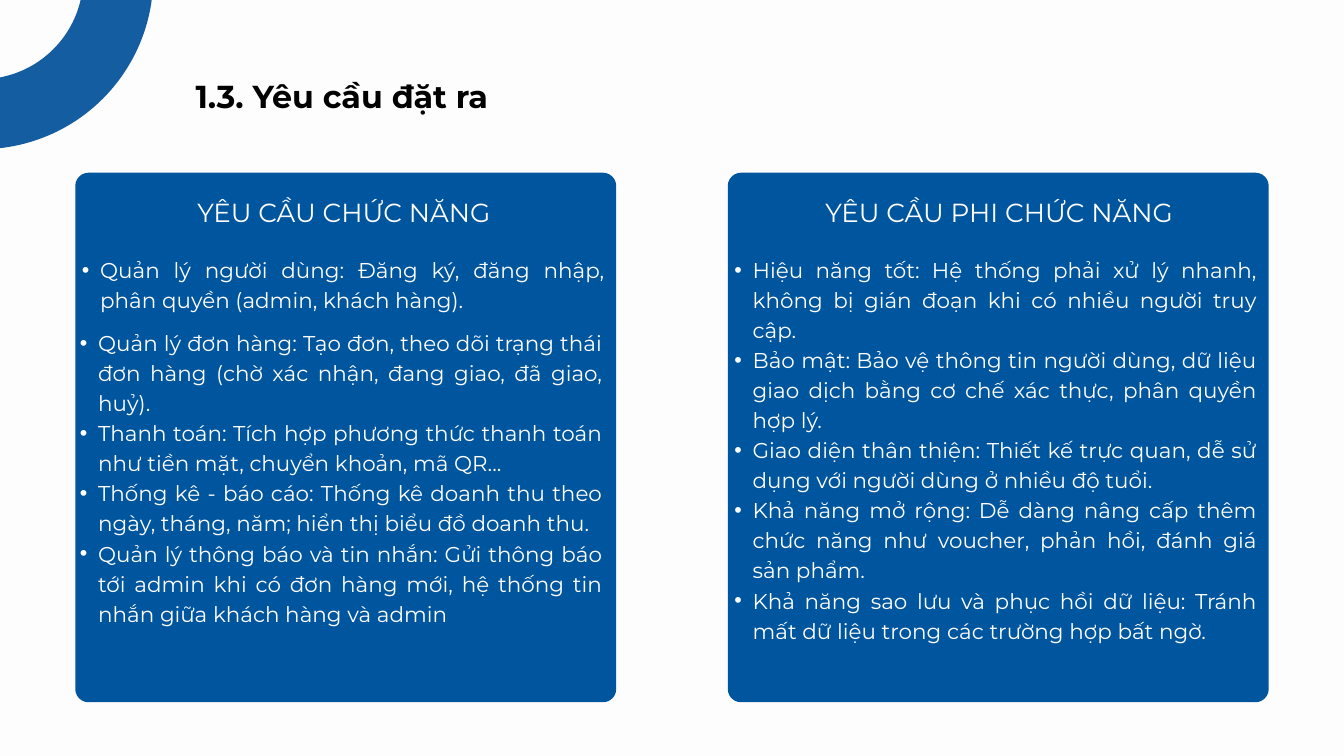
from lxml.etree import SubElement
from pptx import Presentation
from pptx.dml.color import RGBColor
from pptx.enum.shapes import MSO_SHAPE as Shape
from pptx.enum.text import MSO_AUTO_SIZE as AutoSize, PP_ALIGN as Align
from pptx.oxml.ns import qn
from pptx.util import Inches, Pt

FONT = "Montserrat"
BACKGROUND = RGBColor(0xFD, 0xFD, 0xFD)
PANEL_BLUE = RGBColor(0x00, 0x56, 0x9E)
RING_BLUE = RGBColor(0x14, 0x5D, 0xA0)
BLACK = RGBColor(0x00, 0x00, 0x00)
WHITE = RGBColor(0xFF, 0xFF, 0xFF)

PANEL_TOP, PANEL_WIDTH, PANEL_HEIGHT = 2.57, 8.05, 7.88

USER_MANAGEMENT = [
    "Quản lý người dùng: Đăng ký, đăng nhập, phân quyền (admin, khách hàng).",
]
OTHER_FUNCTIONS = [
    "Quản lý đơn hàng: Tạo đơn, theo dõi trạng thái đơn hàng "
    "(chờ xác nhận, đang giao, đã giao, huỷ).",
    "Thanh toán: Tích hợp phương thức thanh toán như tiền mặt, chuyển khoản, mã QR...",
    "Thống kê - báo cáo: Thống kê doanh thu theo ngày, tháng, năm; "
    "hiển thị biểu đồ doanh thu.",
    "Quản lý thông báo và tin nhắn: Gửi thông báo tới admin khi có đơn hàng mới, "
    "hệ thống tin nhắn giữa khách hàng và admin",
]
NON_FUNCTIONAL = [
    "Hiệu năng tốt: Hệ thống phải xử lý nhanh, không bị gián đoạn "
    "khi có nhiều người truy cập.",
    "Bảo mật: Bảo vệ thông tin người dùng, dữ liệu giao dịch bằng cơ chế xác thực, "
    "phân quyền hợp lý.",
    "Giao diện thân thiện: Thiết kế trực quan, dễ sử dụng với người dùng ở nhiều độ tuổi.",
    "Khả năng mở rộng: Dễ dàng nâng cấp thêm chức năng như voucher, phản hồi, "
    "đánh giá sản phẩm.",
    "Khả năng sao lưu và phục hồi dữ liệu: Tránh mất dữ liệu trong các trường hợp bất ngờ.",
]


def add_bullet(paragraph):
    paragraph.level = 1
    properties = paragraph._p.get_or_add_pPr()
    properties.set("marL", str(Inches(0.54)))
    properties.set("indent", str(Inches(-0.27)))
    SubElement(properties, qn("a:buFont"), typeface="Arial")
    SubElement(properties, qn("a:buChar"), char="•")


def add_text(slide, lines, left, top, width, height, *, size, line_pt,
             color=WHITE, bold=False, align=Align.JUSTIFY, bullets=False):
    box = slide.shapes.add_textbox(Inches(left), Inches(top), Inches(width), Inches(height))
    frame = box.text_frame
    frame.word_wrap = True
    frame.auto_size = AutoSize.SHAPE_TO_FIT_TEXT
    frame.margin_left = frame.margin_top = frame.margin_right = frame.margin_bottom = 0
    for index, line in enumerate(lines):
        paragraph = frame.add_paragraph() if index else frame.paragraphs[0]
        paragraph.alignment = align
        paragraph.line_spacing = Pt(line_pt)
        if bullets:
            add_bullet(paragraph)
        run = paragraph.add_run()
        run.text = line
        run.font.name = FONT
        run.font.size = Pt(size)
        run.font.bold = bold
        run.font.color.rgb = color


def add_panel(slide, left):
    panel = slide.shapes.add_shape(Shape.ROUNDED_RECTANGLE, Inches(left), Inches(PANEL_TOP),
                                   Inches(PANEL_WIDTH), Inches(PANEL_HEIGHT))
    panel.adjustments[0] = 0.025
    panel.shadow.inherit = False
    panel.fill.solid()
    panel.fill.fore_color.rgb = PANEL_BLUE
    panel.line.fill.background()


def add_heading(slide, heading, left):
    add_text(slide, [heading], left, 2.84, PANEL_WIDTH, 0.52,
             size=28, line_pt=39.2, align=Align.CENTER)


def add_requirements(slide, requirements, left, top, height):
    add_text(slide, requirements, left, top, PANEL_WIDTH, height,
             size=23, line_pt=32.2, bullets=True)


def add_corner_ring(slide):
    ring = slide.shapes.add_shape(Shape.OVAL, Inches(-2.33), Inches(-2.39),
                                  Inches(4.09), Inches(4.09))
    ring.shadow.inherit = False
    ring.fill.background()
    ring.line.color.rgb = RING_BLUE
    ring.line.width = Pt(75)


def main():
    prs = Presentation()
    prs.slide_width, prs.slide_height = Inches(20), Inches(11.25)
    slide = prs.slides.add_slide(prs.slide_layouts[6])
    slide.background.fill.solid()
    slide.background.fill.fore_color.rgb = BACKGROUND

    # Title
    add_text(slide, ["1.3. Yêu cầu đặt ra"], 2.91, 1.05, 5.26, 0.63,
             size=34, line_pt=47.6, color=BLACK, bold=True)

    # Functional requirements
    add_panel(slide, 1.12)
    add_heading(slide, "YÊU CẦU CHỨC NĂNG", 1.09)
    add_requirements(slide, USER_MANAGEMENT, 0.95, 3.76, 1.3)
    add_requirements(slide, OTHER_FUNCTIONS, 0.92, 4.85, 4.8)

    # Non-functional requirements
    add_panel(slide, 10.83)
    add_heading(slide, "YÊU CẦU PHI CHỨC NĂNG", 10.84)
    add_requirements(slide, NON_FUNCTIONAL, 10.66, 3.76, 6.11)

    # Corner decoration
    add_corner_ring(slide)

    prs.save("out.pptx")


if __name__ == "__main__":
    main()
